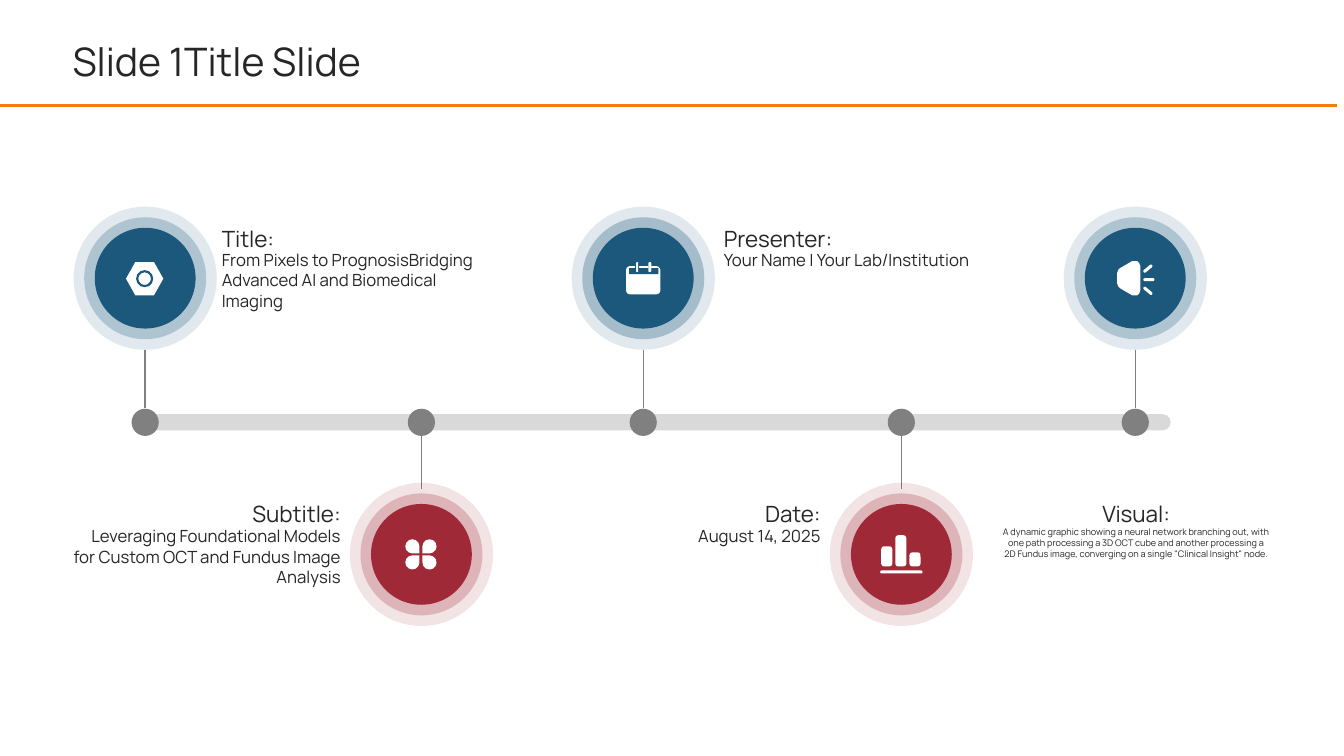
from lxml.etree import SubElement
from pptx import Presentation
from pptx.dml.color import RGBColor
from pptx.enum.shapes import MSO_CONNECTOR, MSO_SHAPE as SHAPE
from pptx.enum.text import MSO_ANCHOR as ANCHOR, PP_ALIGN as ALIGN
from pptx.oxml.ns import qn
from pptx.util import Pt

PX = 9144  # 100 px to the inch
FONT = "Manrope"
COLORS = {"blue": "1B587C", "red": "9F2936", "gray": "808080", "bar": "D9D9D9",
          "white": "FFFFFF", "text": "262626", "orange": "F07F09"}

TITLE = "Slide 1Title Slide"
# centre x, above the bar, ring opacity, heading, body, body size, text left, alignment
MILESTONES = [
    (144, True, 25, "Title:",
     "From Pixels to PrognosisBridging Advanced AI and Biomedical Imaging",
     12, 220, ALIGN.LEFT),
    (418, False, 25, "Subtitle:",
     "Leveraging Foundational Models for Custom OCT and Fundus Image Analysis",
     12, 72, ALIGN.RIGHT),
    (638, True, 30, "Presenter:", "Your Name | Your Lab/Institution",
     12, 718, ALIGN.LEFT),
    (894, False, 25, "Date:", "August 14, 2025", 12, 548, ALIGN.RIGHT),
    (1126, True, 25, "Visual:",
     "A dynamic graphic showing a neural network branching out, with one path "
     "processing a 3D OCT cube and another processing a 2D Fundus image, "
     "converging on a single \"Clinical Insight\" node.",
     6.5, 994, ALIGN.CENTER),
]
HALO, RING, CORE, DOT = 142, 121, 100, 27
UPPER_Y, BAR_Y, LOWER_Y = 276, 419, 550
TEXT_W, HEAD_H = 266, 52

# Icon parts: shape, left, top, width, height, colour, adjustment, rotation
ICON_PARTS = [
    (SHAPE.HEXAGON, 125, 260, 37, 33, "white", 0.28, 0),
    (SHAPE.DONUT, 135, 268, 17, 17, "blue", 0.13, 0),
    (SHAPE.TEAR, 402, 535, 14, 14, "white", 1, 90),
    (SHAPE.TEAR, 419, 535, 14, 14, "white", 1, 180),
    (SHAPE.TEAR, 402, 551, 14, 14, "white", 1, 0),
    (SHAPE.TEAR, 419, 551, 14, 14, "white", 1, 270),
    (SHAPE.ROUNDED_RECTANGLE, 621, 264, 34, 28, "white", 0.14, 0),
    (SHAPE.RECTANGLE, 624, 266, 29, 6, "blue", None, 0),
    (SHAPE.RECTANGLE, 630, 264, 4, 3, "blue", None, 0),
    (SHAPE.RECTANGLE, 643, 264, 3, 3, "blue", None, 0),
    (SHAPE.ROUNDED_RECTANGLE, 631, 260, 2, 10, "white", 0.5, 0),
    (SHAPE.ROUNDED_RECTANGLE, 643, 260, 3, 10, "white", 0.5, 0),
    (SHAPE.ROUNDED_RECTANGLE, 873, 566, 42, 3, "white", 0.5, 0),
    (SHAPE.ROUNDED_RECTANGLE, 874, 542, 11, 20, "white", 0.27, 0),
    (SHAPE.ROUNDED_RECTANGLE, 888, 531, 11, 31, "white", 0.27, 0),
    (SHAPE.ROUNDED_RECTANGLE, 902, 548, 11, 14, "white", 0.27, 0),
    (SHAPE.ROUNDED_RECTANGLE, 1133, 265, 11, 3, "white", 0.5, 320),
    (SHAPE.ROUNDED_RECTANGLE, 1134, 276, 11, 3, "white", 0.5, 0),
    (SHAPE.ROUNDED_RECTANGLE, 1133, 287, 11, 3, "white", 0.5, 40),
]
SPEAKER = [(1126, 259), (1128, 259), (1130, 261), (1131, 264), (1131, 288),
           (1130, 291), (1128, 293), (1126, 293), (1123, 293), (1111, 286),
           (1109, 284), (1108, 281), (1108, 271), (1109, 268), (1111, 266),
           (1123, 259)]

prs = Presentation()
prs.slide_width, prs.slide_height = 1333 * PX, 750 * PX
s = prs.slides.add_slide(prs.slide_layouts[6])


def rgb(name):
    return RGBColor.from_string(COLORS[name])


def paint(sp, color, opacity=100):
    sp.shadow.inherit = False
    sp.fill.solid()
    sp.fill.fore_color.rgb = rgb(color)
    sp.line.fill.background()
    if opacity < 100:
        clr = sp.fill._xPr.find(qn("a:solidFill"))[0]
        SubElement(clr, qn("a:alpha")).set("val", str(opacity * 1000))


def add_part(kind, x, y, w, h, color, adj=None, rotation=0):
    sp = s.shapes.add_shape(kind, x * PX, y * PX, w * PX, h * PX)
    if adj is not None:
        sp.adjustments[0] = adj
    sp.rotation = rotation
    paint(sp, color)


def add_disc(cx, cy, size, color, opacity=100):
    corner = [int((c - size / 2) * PX) for c in (cx, cy)]
    sp = s.shapes.add_shape(SHAPE.OVAL, *corner, size * PX, size * PX)
    paint(sp, color, opacity)


def add_line(x1, y1, x2, y2, color, width):
    line = s.shapes.add_connector(MSO_CONNECTOR.STRAIGHT, x1 * PX, y1 * PX,
                                  x2 * PX, y2 * PX)
    line.line.color.rgb = rgb(color)
    line.line.width = Pt(width)
    SubElement(line._element.spPr, qn("a:effectLst"))


def add_text(x, y, w, h, text, size, align=ALIGN.LEFT, anchor=ANCHOR.TOP):
    tf = s.shapes.add_textbox(x * PX, y * PX, w * PX, h * PX).text_frame
    tf.margin_left = tf.margin_top = tf.margin_right = tf.margin_bottom = 0
    tf.word_wrap = True
    tf.vertical_anchor = anchor
    tf.text = text
    p = tf.paragraphs[0]
    p.alignment = align
    font = p.runs[0].font
    font.name, font.size, font.color.rgb = FONT, Pt(size), rgb("text")


add_text(72, 35, 1167, 51, TITLE, 28, anchor=ANCHOR.MIDDLE)
add_line(0, 105, 1326, 105, "orange", 2.25)
add_part(SHAPE.ROUNDED_RECTANGLE, 139, 411, 1022, 16, "bar", 0.5)

for cx, above, opacity, heading, body, size, text_x, align in MILESTONES:
    cy, color = (UPPER_Y, "blue") if above else (LOWER_Y, "red")
    stem = (347, 405) if above else (426, 485)
    add_line(cx, stem[0], cx, stem[1], "gray", 1)
    add_disc(cx, BAR_Y, DOT, "gray")
    add_disc(cx, cy, HALO, color, 13)
    add_disc(cx, cy, RING, color, opacity)
    add_disc(cx, cy, CORE, color)
    head_bottom, body_top = (250, 248) if above and align == ALIGN.LEFT else (523, 522)
    add_text(text_x, head_bottom - HEAD_H, TEXT_W, HEAD_H, heading, 16, align,
             ANCHOR.BOTTOM)
    add_text(text_x, body_top, TEXT_W, 59 if size < 12 else 127, body, size, align)

for part in ICON_PARTS:
    add_part(*part)
outline = s.shapes.build_freeform(*SPEAKER[0], scale=PX)
outline.add_line_segments(SPEAKER[1:], close=True)
paint(outline.convert_to_shape(), "white")

prs.save("out.pptx")
